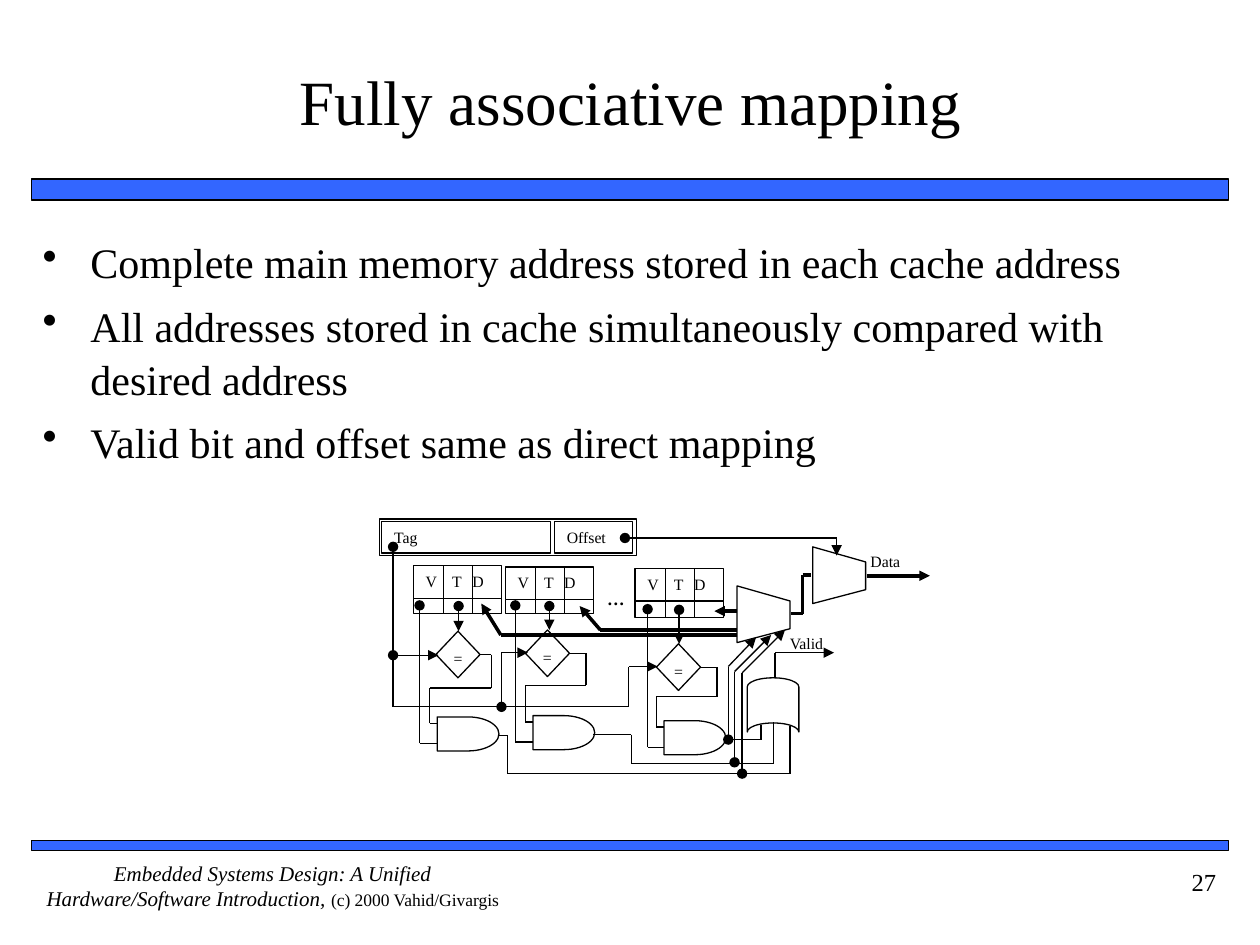
"""Build the slide on fully associative cache mapping, on a grid of 100 columns by 75 rows."""
from dataclasses import dataclass
from typing import NamedTuple, Optional

from lxml import etree
from pptx import Presentation
from pptx import util as u
from pptx.dml import color
from pptx.enum import shapes, text
from pptx.oxml import ns

CELL = u.Inches(0.1)
COLUMNS, ROWS = 100, 75


@dataclass(frozen=True)
class Theme:
    font: str = "Times New Roman"
    ink: str = "000000"
    paper: str = "FFFFFF"
    bar: str = "3366FF"
    title: float = 36
    body: float = 24
    page: float = 14
    footer: float = 12
    small: float = 10
    label: float = 9
    frame: float = 1
    thin: float = 0.75
    thick: float = 2


class Box(NamedTuple):
    column: float
    row: float
    width: float
    height: float


class Wire(NamedTuple):
    points: list
    head: Optional[str] = None
    tail: Optional[str] = None
    thick: bool = False


class Way(NamedTuple):
    column: float
    row: float
    bottom: float
    valid: float
    tag: float
    compare: tuple
    gate: tuple
    loop: tuple


THEME = Theme()
FIELD_TABS = (2.1, 3.7)
WAYS = [
    Way(32.8, 44.9, 48.7, 33.3, 36.4, (34.6, 50.1), (34.7, 56.9), (39, 54.6)),
    Way(40.1, 45, 48.7, 40.9, 43.6, (41.7, 50), (42.3, 56.8), (46.5, 54.4)),
    Way(50.4, 45.1, 49, 51.4, 53.9, (52.1, 51.1), (52.7, 57.2), (56.9, 55.3)),
]
MULTIPLEXERS = [(64.5, 43.4), (58.5, 46.5)]
WIRES = [
    Wire([(31.2, 43.4), (31.2, 56.1), (49.9, 56.1), (49.9, 52.9), (52.2, 52.9)], "oval", "triangle"),
    Wire([(31.2, 52), (34.8, 52)], "oval", "triangle"),
    Wire([(39.8, 56.1), (39.8, 51.8), (41.9, 51.8)], "oval", "triangle"),
    Wire([(49.6, 42.7), (66.4, 42.7), (66.4, 44.1)], "oval", "triangle"),
    Wire([(61.5, 53.8), (61.5, 51.8), (66.2, 51.8)], None, "triangle"),
    Wire([(68.8, 45.7), (73.8, 45.7)], None, "triangle", True),
    Wire([(62.8, 48.7), (63.7, 48.7), (63.7, 45.65), (64.4, 45.65)], thick=True),
    Wire([(39.5, 58.4), (40.3, 58.4), (40.3, 61.4), (62.7, 61.4), (62.7, 57.6)]),
    Wire([(47.1, 58.3), (50.1, 58.3), (50.1, 60.6), (61.4, 60.6), (61.4, 57.3)]),
    Wire([(57.5, 58.7), (60.4, 58.7), (60.4, 57.5)]),
    Wire([(57.8, 58.7), (57.8, 52.9), (60, 50.6)], "oval", "triangle"),
    Wire([(58.3, 60.5), (58.3, 53.3), (61.2, 50.4)], "oval", "triangle"),
    Wire([(58.9, 61.4), (58.9, 53.4), (62.3, 50)], "oval", "triangle"),
    Wire([(38.2, 47.9), (39.75, 50.4), (58.5, 50.4)], "triangle", thick=True),
    Wire([(46, 48.1), (47.65, 50), (58.5, 50)], "triangle", thick=True),
    Wire([(56.7, 48.5), (58.5, 48.5)], "triangle", thick=True),
]


def grid(*cells: float) -> list:
    """Turn grid counts into lengths."""
    return [u.Emu(round(cell * CELL)) for cell in cells]


def rgb(value: str) -> color.RGBColor:
    """Turn a hex string into a colour."""
    return color.RGBColor.from_string(value)


def write(paragraph, content: str, size: float, bold: bool = False, italic: bool = False) -> None:
    """Add one formatted run to a paragraph."""
    run = paragraph.add_run()
    run.text = content
    font = run.font
    font.name, font.size, font.bold, font.italic = THEME.font, u.Pt(size), bold, italic
    font.color.rgb = rgb(THEME.ink)


def set_frame(frame, align=text.PP_ALIGN.LEFT, anchor=text.MSO_ANCHOR.TOP,
              inset: tuple = (1, 0.5), wrap: bool = True):
    """Set up a text frame and return its first paragraph."""
    frame.word_wrap, frame.vertical_anchor = wrap, anchor
    frame.margin_left, frame.margin_top = grid(*inset)
    frame.margin_right, frame.margin_bottom = grid(*inset)
    frame.paragraphs[0].alignment = align
    return frame.paragraphs[0]


def add_text(slide, box: Box, content: str, size: float, bold: bool = False, **layout):
    """Place a text box and return its first paragraph."""
    paragraph = set_frame(slide.shapes.add_textbox(*grid(*box)).text_frame, **layout)
    if content:
        write(paragraph, content, size, bold)
    return paragraph


def paint(shape, fill: str = THEME.paper, width: float = THEME.thin) -> None:
    """Give a shape a flat fill and an ink outline."""
    shape.shadow.inherit = False
    shape.fill.solid()
    shape.fill.fore_color.rgb = rgb(fill)
    shape.line.color.rgb = rgb(THEME.ink)
    shape.line.width = u.Pt(width)


def add_block(slide, box: Box, kind=shapes.MSO_SHAPE.RECTANGLE, **style):
    """Place a painted preset shape."""
    shape = slide.shapes.add_shape(kind, *grid(*box))
    paint(shape, **style)
    return shape


def add_label(slide, box: Box, content: str, kind=shapes.MSO_SHAPE.RECTANGLE, **layout):
    """Place a painted shape with a label and return its paragraph."""
    paragraph = set_frame(add_block(slide, box, kind).text_frame, **layout)
    write(paragraph, content, THEME.label)
    return paragraph


def add_wire(slide, wire: Wire) -> None:
    """Draw a wire as straight connectors from point to point."""
    last = len(wire.points) - 2
    for index, (start, end) in enumerate(zip(wire.points, wire.points[1:])):
        line = slide.shapes.add_connector(shapes.MSO_CONNECTOR.STRAIGHT, *grid(*start, *end))
        line.line.color.rgb = rgb(THEME.ink)
        line.line.width = u.Pt(THEME.thick if wire.thick else THEME.thin)
        outline = line.line._get_or_add_ln()
        if wire.head and index == 0:
            etree.SubElement(outline, ns.qn("a:headEnd"), type=wire.head)
        if wire.tail and index == last:
            etree.SubElement(outline, ns.qn("a:tailEnd"), type=wire.tail)
        etree.SubElement(line._element.spPr, ns.qn("a:effectLst"))


def add_way(slide, way: Way) -> None:
    """Draw one cache way: its fields, comparator, gate and wires."""
    add_block(slide, Box(way.column, way.bottom - 3.1, 7, 3.1))
    paragraph = add_label(slide, Box(way.column, way.row, 7, 2.6), "V\tT\tD")
    tabs = etree.SubElement(paragraph._p.get_or_add_pPr(), ns.qn("a:tabLst"))
    for stop in grid(*FIELD_TABS):
        etree.SubElement(tabs, ns.qn("a:tab"), pos=str(stop), algn="l")
    for share in (2.4, 4.7):
        column = way.column + share
        add_wire(slide, Wire([(column, way.row), (column, way.bottom)]))
    (left, top), (gate, gate_top), (turn, low) = way.compare, way.gate, way.loop
    add_label(slide, Box(left, top, 3.5, 3.7), "=", shapes.MSO_SHAPE.DIAMOND,
              align=text.PP_ALIGN.CENTER, wrap=False)
    add_block(slide, Box(gate, gate_top, 4.9, 2.7), shapes.MSO_SHAPE.FLOWCHART_DELAY)
    entry, middle = gate_top + 2.1, top + 1.85
    add_wire(slide, Wire([(way.valid, way.bottom - 0.65), (way.valid, entry), (gate, entry)], "oval"))
    add_wire(slide, Wire([(way.tag, way.bottom - 0.6), (way.tag, top)], "oval", "triangle"))
    add_wire(slide, Wire([(left + 3.5, middle), (turn, middle), (turn, low), (gate - 0.6, low),
                          (gate - 0.6, gate_top + 0.5), (gate, gate_top + 0.5)]))


def add_multiplexer(slide, column: float, row: float) -> None:
    """Draw a multiplexer that narrows to the right."""
    corners = [(0, 4.5), (4.2, 3.4), (4.2, 1.2), (0, 0)]
    points = [grid(column + across, row + down) for across, down in corners]
    builder = slide.shapes.build_freeform(*points[0])
    builder.add_line_segments(points[1:], close=True)
    paint(builder.convert_to_shape())


def add_bullets(slide, box: Box, items: list) -> None:
    """Place the bulleted list."""
    paragraph = add_text(slide, box, "", THEME.body)
    for index, item in enumerate(items):
        if index:
            paragraph = paragraph._parent.add_paragraph()
            paragraph.space_before = u.Pt(6)
        indent = grid(3.8)[0]
        properties = paragraph._p.get_or_add_pPr()
        properties.set("marL", str(indent))
        properties.set("indent", str(-indent))
        etree.SubElement(properties, ns.qn("a:buChar"), char="•")
        paragraph.line_spacing = 1.05
        write(paragraph, item, THEME.body)


def add_diagram(slide) -> None:
    """Draw the cache lookup circuit."""
    add_block(slide, Box(30.1, 41.2, 20.4, 2.9))
    add_label(slide, Box(30.3, 41.4, 13.4, 2.5), "Tag")
    add_label(slide, Box(44, 41.4, 6.2, 2.5), "Offset")
    add_text(slide, Box(61.7, 49.8, 6.9, 2.9), "Valid", THEME.label)
    add_text(slide, Box(68.1, 43.3, 6.1, 2.9), "Data", THEME.label)
    add_text(slide, Box(47.2, 46.2, 3.5, 2.3), "…", THEME.small, bold=True)
    merge = add_block(slide, Box(59.2, 53.9, 4.3, 4.1), shapes.MSO_SHAPE.FLOWCHART_STORED_DATA)
    merge.rotation = 90
    for place in MULTIPLEXERS:
        add_multiplexer(slide, *place)
    for way in WAYS:
        add_way(slide, way)
    for wire in WIRES:
        add_wire(slide, wire)


def main() -> None:
    """Build and save the presentation."""
    presentation = Presentation()
    presentation.slide_width, presentation.slide_height = grid(COLUMNS, ROWS)
    slide = presentation.slides.add_slide(presentation.slide_layouts[6])
    for row, height in ((14.2, 1.7), (66.7, 0.8)):
        add_block(slide, Box(2.5, row, 95, height), fill=THEME.bar, width=THEME.frame)
    footer = add_text(slide, Box(2.5, 68.3, 38.3, 5), "", THEME.footer,
                      align=text.PP_ALIGN.CENTER, inset=(0, 0))
    write(footer, "Embedded Systems Design: A Unified Hardware/Software Introduction, ",
          THEME.footer, italic=True)
    write(footer, "(c) 2000 Vahid/Givargis", THEME.small)
    add_text(slide, Box(87.5, 68.3, 10, 5), "27", THEME.page, align=text.PP_ALIGN.RIGHT)
    add_text(slide, Box(4.2, 1.7, 91.7, 12.5), "Fully associative mapping", THEME.title,
             align=text.PP_ALIGN.CENTER, anchor=text.MSO_ANCHOR.MIDDLE, inset=(0, 0.5))
    add_bullets(slide, Box(2.4, 18.1, 90.6, 19.5), [
        "Complete main memory address stored in each cache address",
        "All addresses stored in cache simultaneously compared with desired address",
        "Valid bit and offset same as direct mapping",
    ])
    add_diagram(slide)
    presentation.save("out.pptx")


if __name__ == "__main__":
    main()
